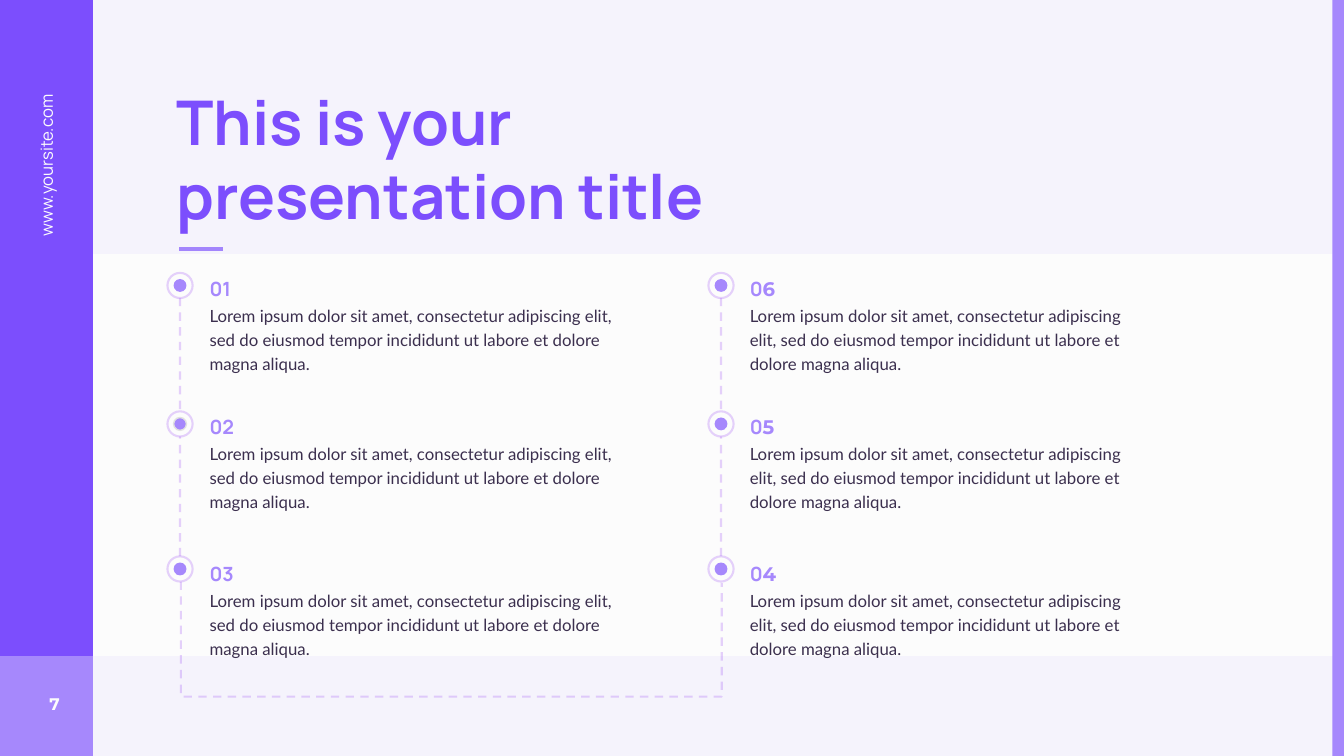
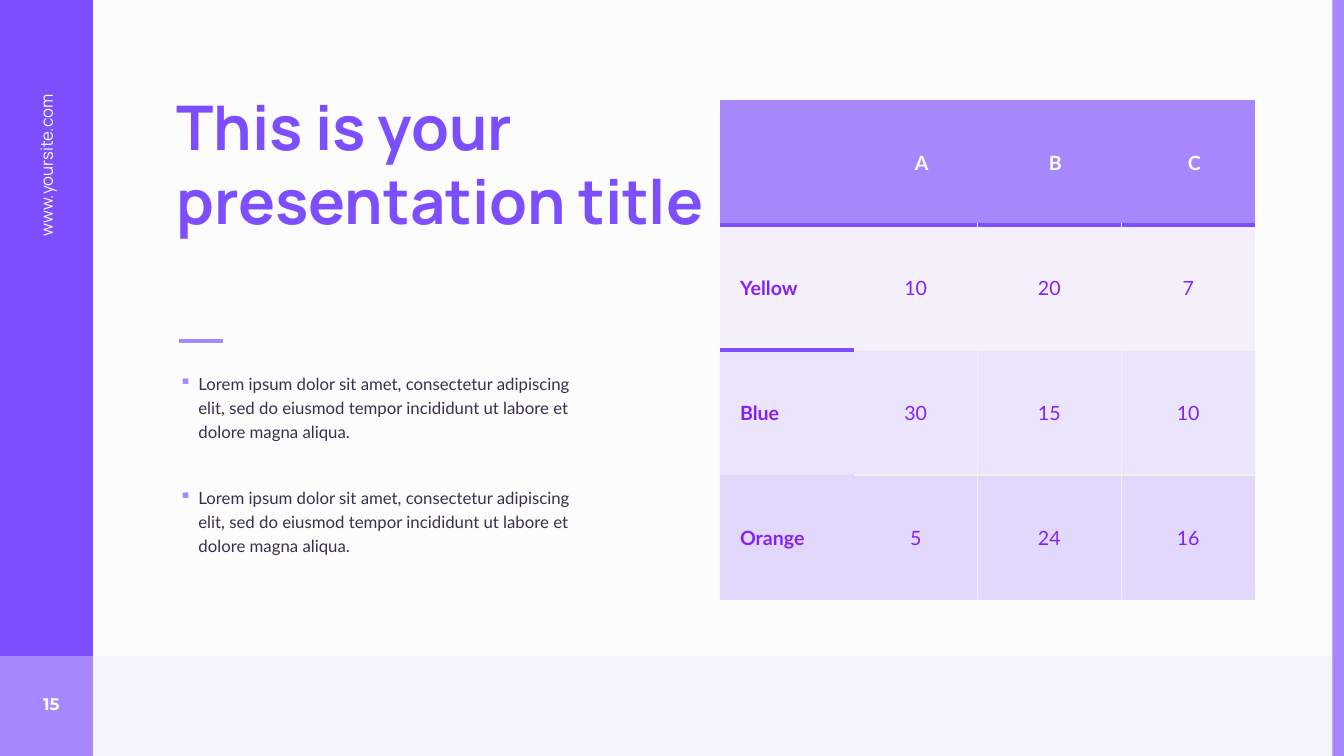
"""Build a numbered timeline slide and a table slide in one purple theme."""
from dataclasses import dataclass
from typing import Any, Optional

from lxml import etree
from pptx import Presentation
from pptx.dml.color import RGBColor
from pptx.enum import dml, shapes, text
from pptx.oxml import ns
from pptx.util import Pt

VIOLET = RGBColor(0x7C, 0x4E, 0xFD)
LAVENDER = RGBColor(0xA6, 0x88, 0xFC)
PURPLE = RGBColor(0x84, 0x22, 0xF4)
PAPER = RGBColor(0xFC, 0xFC, 0xFC)
INK = RGBColor(0x3B, 0x2F, 0x4E)
GRID = RGBColor(0xF2, 0xF2, 0xF2)
DOT_EDGE = RGBColor(0xE1, 0xE1, 0xE1)

SLIDE_W, SLIDE_H = 960, 540
SIDEBAR_W, FOOTER_TOP, EDGE_LEFT = 66.4, 468.6, 951.8
RING, DOT = 18, 9.2
NO_STYLE = "{2D5ABB26-0587-4C30-8999-92F81FD0307C}"

LOREM = ("Lorem ipsum dolor sit amet, consectetur adipiscing elit, sed do eiusmod "
         "tempor incididunt ut labore et dolore magna aliqua.")


@dataclass(frozen=True)
class Style:
    """Look of a run."""

    font: str
    size: float
    color: RGBColor
    bold: bool = False


TITLE = Style("Manrope", 44, VIOLET, True)
SITE = Style("Manrope", 12, PAPER)
PAGE = Style("Montserrat", 12, PAPER, True)
NUMBER = Style("Manrope", 14, LAVENDER, True)
NUMBER_ALT = Style("Montserrat", 14, LAVENDER, True)
BODY = Style("Lato", 12, INK)
HEAD_CELL = Style("Lato", 14, PAPER, True)
NAME_CELL = Style("Lato", 14, PURPLE, True)
VALUE_CELL = Style("Lato", 14, PURPLE)


@dataclass(frozen=True)
class Level:
    """Heights of one timeline row."""

    center: float
    text_top: float


@dataclass(frozen=True)
class Track:
    """One column of the timeline."""

    center: float
    text_left: float
    body_w: float
    numbers: tuple[str, ...]
    last_digit: Style
    edged_row: Optional[int] = None


LEVELS = (Level(203.9, 190.8), Level(302.8, 289.5), Level(406.4, 394.6))
TRACKS = (
    Track(128.6, 142.6, 303.8, ("01", "02", "03"), NUMBER, 1),
    Track(515, 528.5, 300.2, ("06", "05", "04"), NUMBER_ALT),
)

COLUMNS = (95.8, 88.2, 102.8, 95.6)
ROW_H = 89.3
ROWS = (
    ("", "A", "B", "C"),
    ("Yellow", "10", "20", "7"),
    ("Blue", "30", "15", "10"),
    ("Orange", "5", "24", "16"),
)


def fade(colors: list, percent: float) -> None:
    """Give colour elements an opacity."""
    for color in colors:
        etree.SubElement(color, ns.qn("a:alpha")).set("val", str(int(percent * 1000)))


def write(paragraph: Any, words: str, style: Style) -> None:
    """Add one run to a paragraph."""
    run = paragraph.add_run()
    run.text = words
    run.font.name, run.font.size = style.font, Pt(style.size)
    run.font.bold, run.font.color.rgb = style.bold, style.color


def add_box(slide: Any, left: float, top: float, width: float, height: float) -> Any:
    """Add an empty wrapping text box."""
    box = slide.shapes.add_textbox(Pt(left), Pt(top), Pt(width), Pt(height))
    box.text_frame.word_wrap = True
    return box


def add_block(slide: Any, left: float, top: float, width: float, height: float,
              color: RGBColor, opacity: float = 100,
              kind: Any = shapes.MSO_SHAPE.RECTANGLE) -> Any:
    """Add a plain filled shape."""
    block = slide.shapes.add_shape(kind, Pt(left), Pt(top), Pt(width), Pt(height))
    block.shadow.inherit = False
    block.fill.solid()
    block.fill.fore_color.rgb = color
    block.line.fill.background()
    if opacity < 100:
        fade(block._element.xpath("./p:spPr/a:solidFill/a:srgbClr"), opacity)
    return block


def stroke(shape: Any, color: RGBColor, width: float, opacity: float = 100) -> None:
    """Set the line of a shape or connector."""
    shape.line.color.rgb = color
    shape.line.width = Pt(width)
    if opacity < 100:
        fade(shape._element.xpath(".//a:ln//a:srgbClr"), opacity)


def add_line(slide: Any, x1: float, y1: float, x2: float, y2: float,
             kind: Any = shapes.MSO_CONNECTOR.STRAIGHT) -> Any:
    """Add a connector without shadow."""
    line = slide.shapes.add_connector(kind, Pt(x1), Pt(y1), Pt(x2), Pt(y2))
    etree.SubElement(line._element.spPr, ns.qn("a:effectLst"))
    return line


def make_dashed(line: Any) -> None:
    """Apply the pale dashed timeline stroke."""
    stroke(line, PURPLE, 1.5, 20)
    line.line.dash_style = dml.MSO_LINE.DASH


def add_page(deck: Any, number: str, title_box: tuple[float, ...], accent_y: float) -> Any:
    """Add a slide with the shared bands, title and accent."""
    slide = deck.slides.add_slide(deck.slide_layouts[5])
    slide.background.fill.solid()
    slide.background.fill.fore_color.rgb = PAPER
    footer_h = SLIDE_H - FOOTER_TOP
    add_block(slide, 0, FOOTER_TOP, SLIDE_W, footer_h, VIOLET, 5)
    add_block(slide, 0, 0, SIDEBAR_W, FOOTER_TOP, VIOLET)
    add_block(slide, 0, FOOTER_TOP, SIDEBAR_W, footer_h, LAVENDER)
    add_block(slide, EDGE_LEFT, 0, SLIDE_W - EDGE_LEFT, SLIDE_H, LAVENDER)

    page = add_box(slide, 17.3, 488.2, 32.4, 28.8)
    page.text_frame.vertical_anchor = text.MSO_ANCHOR.MIDDLE
    site = add_box(slide, -66.2, 149, 198.7, 21.6)
    site.rotation = 270
    for box, words, style in ((page, number, PAGE), (site, "www.yoursite.com", SITE)):
        paragraph = box.text_frame.paragraphs[0]
        paragraph.alignment = text.PP_ALIGN.RIGHT
        write(paragraph, words, style)

    title = slide.shapes.title
    title.left, title.top, title.width, title.height = map(Pt, title_box)
    title.text_frame.auto_size = text.MSO_AUTO_SIZE.NONE
    title.text_frame.vertical_anchor = text.MSO_ANCHOR.TOP
    title.text_frame.word_wrap = True
    heading = title.text_frame.paragraphs[0]
    heading.alignment = text.PP_ALIGN.LEFT
    write(heading, "This is your presentation title", TITLE)
    stroke(add_line(slide, 128.2, accent_y, 159.1, accent_y), LAVENDER, 3)
    return slide


def add_turn(slide: Any) -> None:
    """Join the feet of both tracks with a U-shaped elbow connector."""
    left, right = (track.center + 0.5 for track in TRACKS)
    middle, span = (left + right) / 2, right - left
    start, drop = LEVELS[-1].center + RING / 2, 82.8
    top = start + 0.5 - span / 2
    turn = add_line(slide, middle + 0.5, top, middle - 0.5, top + span,
                    shapes.MSO_CONNECTOR.ELBOW)
    turn._element.xpath(".//a:xfrm")[0].set("rot", str(270 * 60000))
    guide = etree.SubElement(turn._element.xpath(".//a:avLst")[0], ns.qn("a:gd"))
    guide.set("name", "adj1")
    guide.set("fmla", f"val {int(drop * 100000)}")
    make_dashed(turn)


def add_marker(slide: Any, x: float, y: float, edged: bool) -> None:
    """Add a ring with a dot inside."""
    oval = shapes.MSO_SHAPE.OVAL
    ring = add_block(slide, x - RING / 2, y - RING / 2, RING, RING, PAPER, kind=oval)
    stroke(ring, PURPLE, 1.5, 20)
    dot = add_block(slide, x - DOT / 2, y - DOT / 2, DOT, DOT, LAVENDER, kind=oval)
    if edged:
        stroke(dot, DOT_EDGE, 1)


def add_track(slide: Any, track: Track) -> None:
    """Add a dashed line with its markers and texts."""
    make_dashed(add_line(slide, track.center, LEVELS[-1].center - RING / 2,
                         track.center, LEVELS[0].center + RING / 2))
    for row, (level, number) in enumerate(zip(LEVELS, track.numbers)):
        body = add_box(slide, track.text_left, level.text_top + 21, track.body_w, 58.3)
        label = add_box(slide, track.text_left, level.text_top, 33.8, 26.6)
        for box, runs in (
            (body, ((LOREM, BODY),)),
            (label, ((number[0], NUMBER), (number[1], track.last_digit))),
        ):
            paragraph = box.text_frame.paragraphs[0]
            paragraph.line_spacing = 1.2
            for words, style in runs:
                write(paragraph, words, style)
        add_marker(slide, track.center, level.center, row == track.edged_row)


def add_bullets(slide: Any) -> None:
    """Add the two bulleted paragraphs."""
    frame = add_box(slide, 128.2, 264.2, 289.4, 133.2).text_frame
    frame.margin_left = frame.margin_top = frame.margin_right = frame.margin_bottom = 0
    for index in range(2):
        paragraph = frame.add_paragraph() if index else frame.paragraphs[0]
        paragraph.line_spacing = 1.2
        if index:
            paragraph.space_before = Pt(29.3)
        props = paragraph._p.get_or_add_pPr()
        props.set("marL", str(Pt(13.5)))
        props.set("indent", str(-Pt(13.5)))
        tint = etree.SubElement(props, ns.qn("a:buClr"))
        etree.SubElement(tint, ns.qn("a:srgbClr")).set("val", str(LAVENDER))
        etree.SubElement(props, ns.qn("a:buChar")).set("char", "▪")
        write(paragraph, LOREM, BODY)


def cell_borders(row: int, column: int) -> dict[str, tuple[RGBColor, float]]:
    """Work out the visible borders of a table cell."""
    rule, hairline = (VIOLET, 3), (GRID, 1)
    borders = {}
    if row and column > 1:
        borders["lnL"] = hairline
    if row and 0 < column < len(COLUMNS) - 1:
        borders["lnR"] = hairline
    if row == 1:
        borders["lnT"] = rule
    elif row and column:
        borders["lnT"] = hairline
    if row == 0:
        borders["lnB"] = rule
    elif column and row < len(ROWS) - 1:
        borders["lnB"] = hairline
    return borders


def format_cell(cell: Any, row: int, column: int) -> None:
    """Fill, border and write one table cell."""
    cell.fill.solid()
    cell.fill.fore_color.rgb = LAVENDER
    props = cell._tc.tcPr
    if row:
        fade(props.xpath("./a:solidFill/a:srgbClr"), row * 10)
    for place, (side, (color, width)) in enumerate(cell_borders(row, column).items()):
        border = etree.Element(ns.qn(f"a:{side}"), w=str(Pt(width)))
        paint = etree.SubElement(border, ns.qn("a:solidFill"))
        etree.SubElement(paint, ns.qn("a:srgbClr")).set("val", str(color))
        props.insert(place, border)

    named = row > 0 and column == 0
    cell.vertical_anchor = text.MSO_ANCHOR.MIDDLE
    cell.margin_left = Pt(14.4 if named or row == 0 else 5.8)
    cell.margin_right = Pt(14.4 if named else 5.8)
    cell.margin_top = cell.margin_bottom = Pt(14.4 if named else 4.3)
    if ROWS[row][column]:
        paragraph = cell.text_frame.paragraphs[0]
        paragraph.alignment = text.PP_ALIGN.LEFT if named else text.PP_ALIGN.CENTER
        style = HEAD_CELL if row == 0 else NAME_CELL if named else VALUE_CELL
        write(paragraph, ROWS[row][column], style)


def add_color_table(slide: Any) -> None:
    """Add the table of colours and values."""
    table = slide.shapes.add_table(len(ROWS), len(COLUMNS), Pt(514.2), Pt(71.4),
                                   Pt(sum(COLUMNS)), Pt(ROW_H * len(ROWS))).table
    table.horz_banding = False
    table._tbl.xpath("./a:tblPr/a:tableStyleId")[0].text = NO_STYLE
    for column, width in enumerate(COLUMNS):
        table.columns[column].width = Pt(width)
    for row in range(len(ROWS)):
        table.rows[row].height = Pt(ROW_H)
        for column in range(len(COLUMNS)):
            format_cell(table.cell(row, column), row, column)


def main() -> None:
    """Build and save the deck."""
    deck = Presentation()
    deck.slide_width, deck.slide_height = Pt(SLIDE_W), Pt(SLIDE_H)

    timeline = add_page(deck, "7", (118.8, 56.2, 523.4, 113.8), 177.8)
    add_block(timeline, SIDEBAR_W, 0, EDGE_LEFT - SIDEBAR_W, 181.4, VIOLET, 5)
    add_turn(timeline)
    for track in TRACKS:
        add_track(timeline, track)

    colors = add_page(deck, "15", (118.8, 59.8, 397.4, 167), 243.4)
    add_color_table(colors)
    add_bullets(colors)
    deck.save("out.pptx")


if __name__ == "__main__":
    main()
